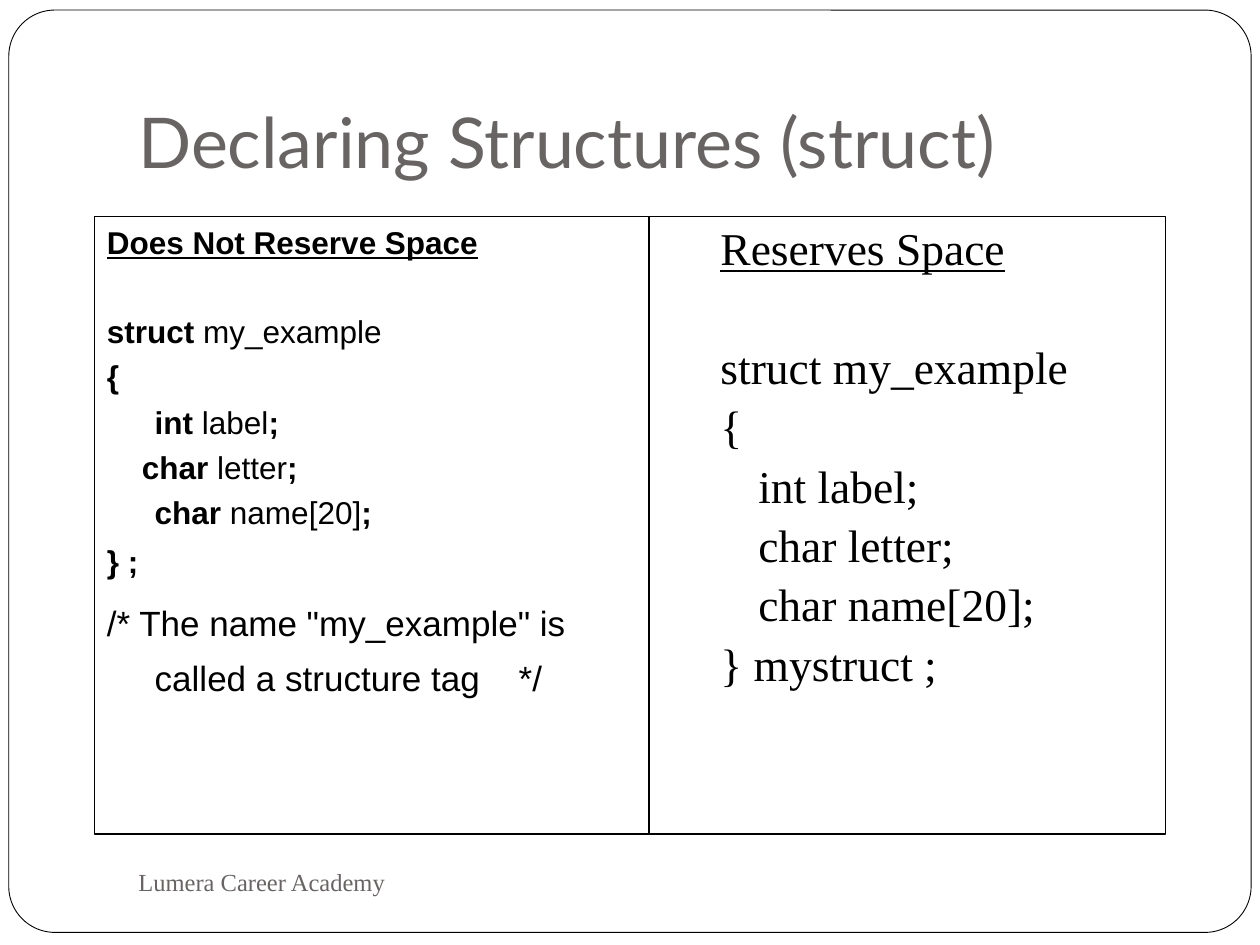
from dataclasses import dataclass

import lxml.etree
import pptx
import pptx.dml.color
import pptx.enum.shapes
import pptx.enum.text
import pptx.oxml.ns
import pptx.util

COLS, ROWS = 40, 30
BLACK, GREY, WHITE = "000000", "696464", "FFFFFF"
SERIF, SANS, HEADING = "Times New Roman", "Arial", "Lato"
ANCHOR = pptx.enum.text.MSO_ANCHOR
SHAPE = pptx.enum.shapes.MSO_SHAPE

prs = pptx.Presentation()
prs.slide_width = pptx.util.Inches(10)
prs.slide_height = pptx.util.Inches(7.5)
slide = prs.slides.add_slide(prs.slide_layouts[6])


@dataclass
class Area:
    """Place on the grid, in columns and rows."""
    col: float
    row: float
    cols: float
    rows: float

    def box(self) -> tuple[int, int, int, int]:
        return x(self.col), y(self.row), x(self.cols), y(self.rows)


@dataclass
class Line:
    """One paragraph; parts between asterisk pairs (**) are bold."""
    text: str
    before: float = 0
    indent: float = 0
    hang: float = 0
    size: float | None = None
    spacing: float | None = None
    underline: bool = False


def x(cols: float) -> int:
    return round(prs.slide_width * cols / COLS)


def y(rows: float) -> int:
    return round(prs.slide_height * rows / ROWS)


def rgb(value: str) -> pptx.dml.color.RGBColor:
    return pptx.dml.color.RGBColor.from_string(value)


def add_outline(kind: int, area: Area, width: float, fill: str | None = None):
    sp = slide.shapes.add_shape(kind, *area.box())
    sp.shadow.inherit = False
    if fill:
        sp.fill.solid()
        sp.fill.fore_color.rgb = rgb(fill)
    else:
        sp.fill.background()
    sp.line.color.rgb = rgb(BLACK)
    sp.line.width = pptx.util.Pt(width)
    return sp


def add_text(area: Area, lines: list[Line], *, font: str, size: float,
             color: str = BLACK, anchor: int = ANCHOR.TOP,
             spacing: float = 1.0, bottom: float = 0.05) -> None:
    tf = slide.shapes.add_textbox(*area.box()).text_frame
    tf.word_wrap = True
    tf.vertical_anchor = anchor
    tf.margin_bottom = pptx.util.Inches(bottom)
    for i, line in enumerate(lines):
        p = tf.paragraphs[0] if i == 0 else tf.add_paragraph()
        pPr = p._p.get_or_add_pPr()
        pPr.set("marL", str(pptx.util.Inches(line.indent)))
        pPr.set("indent", str(-pptx.util.Inches(line.hang)))
        p.line_spacing = line.spacing or spacing
        p.space_before = pptx.util.Pt(line.before)
        for n, part in enumerate(line.text.split("**")):
            if not part:
                continue
            r = p.add_run()
            r.text = part
            r.font.name = font
            r.font.size = pptx.util.Pt(line.size or size)
            r.font.color.rgb = rgb(color)
            r.font.bold = n % 2 == 1
            r.font.underline = line.underline


# Rounded page border
border = add_outline(SHAPE.ROUNDED_RECTANGLE, Area(0.28, 0.32, 39.44, 29.28),
                     0.5, WHITE)
border.adjustments[0] = 0.05

# Footer and title
add_text(Area(4, 27, 17.32, 2), [Line("Lumera Career Academy")],
         font=SERIF, size=14, color=GREY, anchor=ANCHOR.MIDDLE)
add_text(Area(4, 1.2, 34, 5), [Line("Declaring Structures (struct)")],
         font=HEADING, size=40, color=GREY, anchor=ANCHOR.BOTTOM, bottom=0.1)

# Right column: declaration with a variable
GAP = 5.8
add_text(Area(22.48, 7, 14.52, 19.6), [
    Line("Reserves Space", underline=True),
    Line("struct my_example", before=39.8),
    Line("{", before=GAP),
    *[Line(member, before=GAP, indent=0.3)
      for member in ("int label;", "char letter;", "char name[20];")],
    Line("} mystruct ;", before=GAP),
], font=SERIF, size=26, spacing=0.9)

# Left column: declaration of the tag only
GAP = 4.3
add_text(Area(3, 6.88, 17.6, 20.72), [
    Line("**Does Not Reserve Space**", underline=True),
    Line("**struct** my_example", before=29.3),
    Line("**{**", before=GAP),
    Line("**int** label**;**", before=GAP, indent=0.38),
    Line("    **char** letter**;**", before=GAP),
    Line("**char** name[20]**;**", before=GAP, indent=0.38),
    Line("**} ;**", before=6.1),
    Line('/* The name "my_example" is called a structure tag    */',
         before=5.3, indent=0.38, hang=0.38, size=20, spacing=1.3),
], font=SANS, size=18)

# Frame and divider of the two columns
frame = Area(3, 6.88, 34, 19.6)
add_outline(SHAPE.RECTANGLE, frame, 0.75)
divider = slide.shapes.add_connector(
    pptx.enum.shapes.MSO_CONNECTOR.STRAIGHT,
    x(20.6), y(frame.row), x(20.6), y(frame.row + frame.rows))
divider.line.color.rgb = rgb(BLACK)
divider.line.width = pptx.util.Pt(0.75)
lxml.etree.SubElement(divider._element.spPr, pptx.oxml.ns.qn("a:effectLst"))

prs.save("out.pptx")
